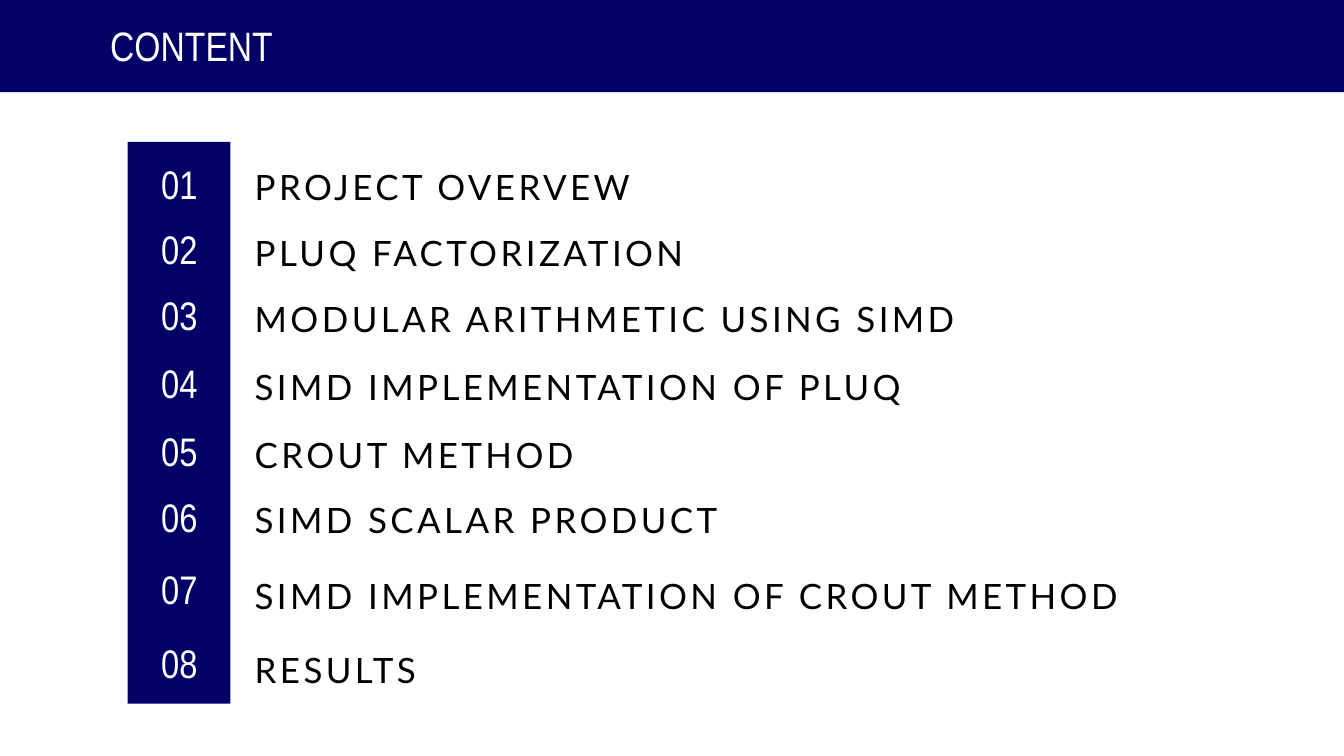
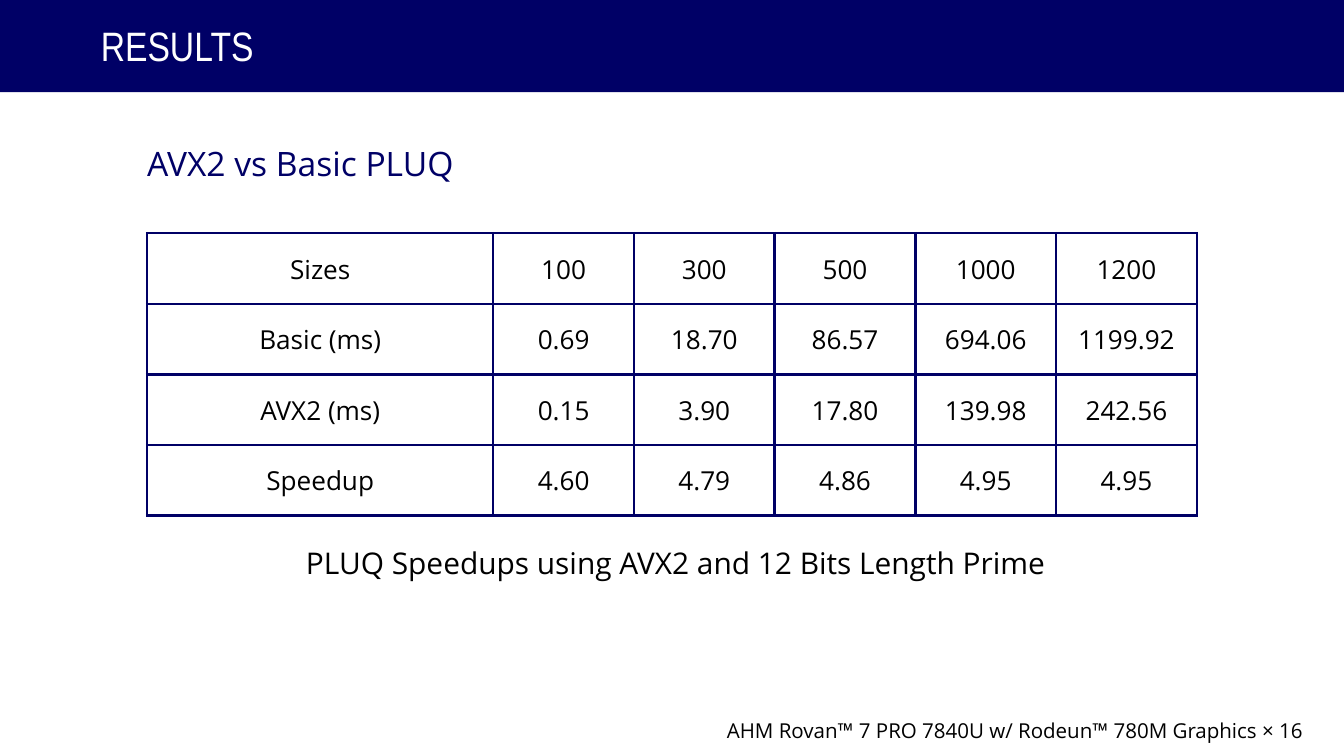
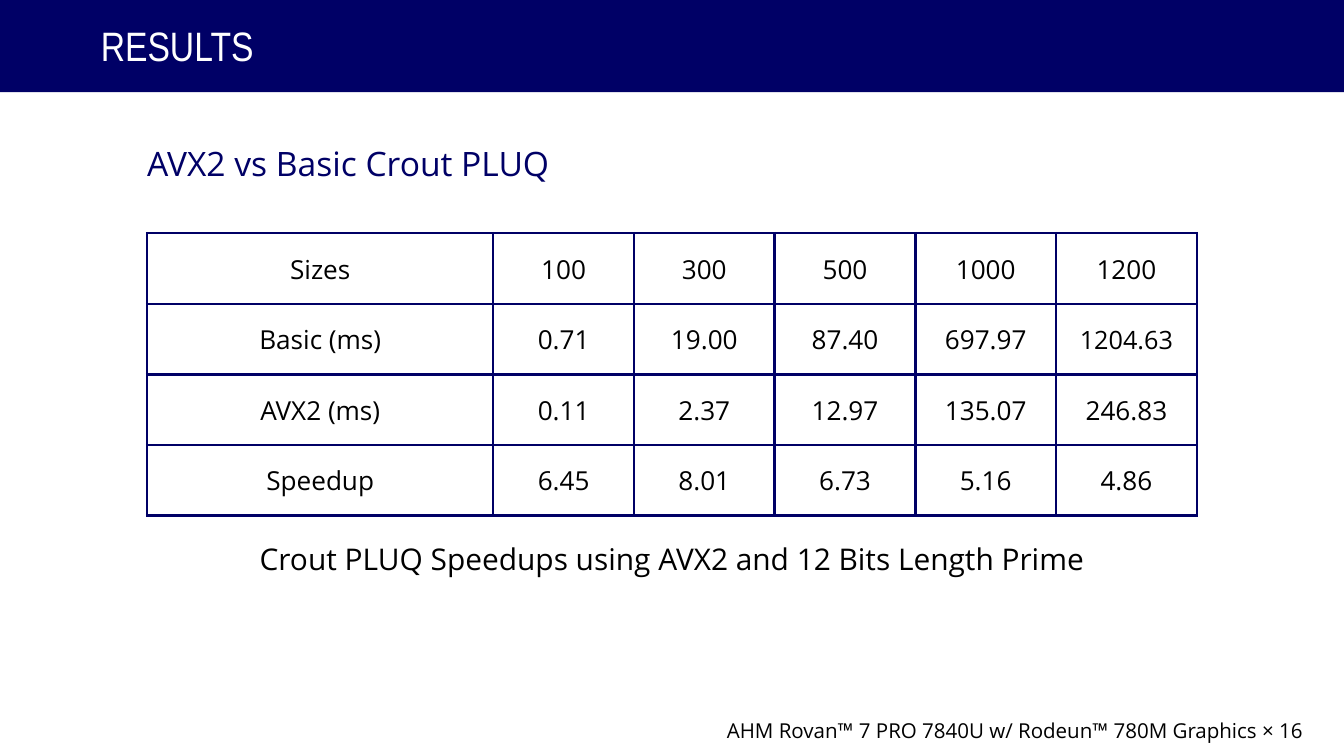
from dataclasses import dataclass

from pptx import Presentation
from pptx.dml.color import RGBColor
from pptx.enum.shapes import MSO_SHAPE
from pptx.enum.text import MSO_ANCHOR, MSO_AUTO_SIZE, PP_ALIGN
from pptx.oxml import parse_xml
from pptx.oxml.ns import nsdecls, qn
from pptx.util import Inches, Pt


@dataclass(frozen=True)
class TextStyle:
    font: str
    size: float
    line_height: float
    color: str
    align: PP_ALIGN = PP_ALIGN.LEFT


class Theme:
    NAVY = "000066"
    WHITE = "FFFFFF"
    BLACK = "000000"
    TITLE = TextStyle("Arial Narrow", 44, 47.5, WHITE)
    NUMBER = TextStyle("Arial Narrow", 42.7, 51.3, WHITE, PP_ALIGN.CENTER)
    TOPIC = TextStyle("Lato", 37.4, 51.6, BLACK)
    TOPIC_TRACKING = 3.65
    SUBTITLE = TextStyle("Open Sans", 36, 43.2, NAVY)
    CAPTION = TextStyle("Open Sans", 32, 41.6, BLACK, PP_ALIGN.CENTER)
    CELL = TextStyle("Open Sans", 28, 39.2, BLACK, PP_ALIGN.CENTER)
    WIDE_CELL = TextStyle("Open Sans", 27, 37.8, BLACK, PP_ALIGN.CENTER)
    FOOTER = TextStyle("Open Sans", 22, 28.6, BLACK, PP_ALIGN.CENTER)
    BORDER_WIDTH = 3


SLIDE_WIDTH, SLIDE_HEIGHT = 20, 11.25
TITLE_ONLY_LAYOUT = 5
PROCESSOR = "AHM Rovan™ 7 PRO 7840U w/ Rodeun™ 780M Graphics × 16"

# Topic, top of its number, top and width of its label
AGENDA = [
    ("PROJECT OVERVEW", 2.37, 2.37, 9.38),
    ("PLUQ FACTORIZATION", 3.34, 3.36, 9.38),
    ("MODULAR ARITHMETIC USING SIMD", 4.33, 4.34, 10.54),
    ("SIMD IMPLEMENTATION OF PLUQ", 5.34, 5.35, 10.54),
    ("CROUT METHOD", 6.35, 6.36, 10.54),
    ("SIMD SCALAR PRODUCT", 7.33, 7.33, 10.54),
    ("SIMD IMPLEMENTATION OF CROUT METHOD", 8.4, 8.46, 13.41),
    ("RESULTS", 9.5, 9.56, 9.38),
]

SIZES = ["Sizes", "100", "300", "500", "1000", "1200"]
PLUQ_TIMINGS = [
    SIZES,
    ["Basic (ms)", "0.69", "18.70", "86.57", "694.06", "1199.92"],
    ["AVX2 (ms)", "0.15", "3.90", "17.80", "139.98", "242.56"],
    ["Speedup", "4.60", "4.79", "4.86", "4.95", "4.95"],
]
CROUT_TIMINGS = [
    SIZES,
    ["Basic (ms)", "0.71", "19.00", "87.40", "697.97", "1204.63"],
    ["AVX2 (ms)", "0.11", "2.37", "12.97", "135.07", "246.83"],
    ["Speedup", "6.45", "8.01", "6.73", "5.16", "4.86"],
]


def write_text(text_frame, text, style):
    paragraph = text_frame.paragraphs[0]
    paragraph.alignment = style.align
    paragraph.line_spacing = Pt(style.line_height)
    run = paragraph.add_run()
    run.text = text
    run.font.name = style.font
    run.font.size = Pt(style.size)
    run.font.color.rgb = RGBColor.from_string(style.color)


def fill_text_box(shape, text, style):
    """Write text in a shape that has no margins and grows with its text."""
    text_frame = shape.text_frame
    text_frame.word_wrap = True
    text_frame.auto_size = MSO_AUTO_SIZE.SHAPE_TO_FIT_TEXT
    text_frame.vertical_anchor = MSO_ANCHOR.TOP
    text_frame.margin_left = text_frame.margin_right = 0
    text_frame.margin_top = text_frame.margin_bottom = 0
    write_text(text_frame, text, style)


def add_text(slide, text, style, left, top, width, height):
    box = slide.shapes.add_textbox(
        Inches(left), Inches(top), Inches(width), Inches(height))
    fill_text_box(box, text, style)
    return box


def add_navy_block(slide, left, top, width, height):
    block = slide.shapes.add_shape(
        MSO_SHAPE.RECTANGLE,
        Inches(left), Inches(top), Inches(width), Inches(height))
    block.shadow.inherit = False
    block.fill.solid()
    block.fill.fore_color.rgb = RGBColor.from_string(Theme.NAVY)
    block.line.fill.background()
    return block


def add_titled_slide(presentation, title_text, title_left, title_width):
    """Add a slide whose title stands on a navy band."""
    slide = presentation.slides.add_slide(
        presentation.slide_layouts[TITLE_ONLY_LAYOUT])
    band = add_navy_block(slide, 0, 0, SLIDE_WIDTH, 1.37)
    title = slide.shapes.title
    title.element.addprevious(band.element)
    title.left, title.top = Inches(title_left), Inches(0.38)
    title.width, title.height = Inches(title_width), Inches(0.68)
    fill_text_box(title, title_text, Theme.TITLE)
    return slide


def add_agenda_slide(presentation):
    slide = add_titled_slide(presentation, "CONTENT", 1.64, 4.07)
    add_navy_block(slide, 1.9, 2.11, 1.53, 8.36)
    for number, (topic, number_top, topic_top, width) in enumerate(AGENDA, start=1):
        add_text(slide, f"{number:02}", Theme.NUMBER, 2.16, number_top, 1.02, 0.72)
        label = add_text(slide, topic, Theme.TOPIC, 3.79, topic_top, width, 0.66)
        for properties in label.element.iter(qn("a:rPr")):
            properties.set("spc", str(round(Theme.TOPIC_TRACKING * 100)))


def draw_cell_borders(table_frame):
    for cell_element in table_frame.element.iter(qn("a:tc")):
        properties = cell_element.get_or_add_tcPr()
        for position, side in enumerate(("lnL", "lnR", "lnT", "lnB")):
            properties.insert(position, parse_xml(
                f'<a:{side} {nsdecls("a")} w="{Pt(Theme.BORDER_WIDTH)}">'
                f'<a:solidFill><a:srgbClr val="{Theme.NAVY}"/></a:solidFill>'
                f'</a:{side}>'))


def add_timing_table(slide, rows):
    width, label_width, row_height = 15.62, 5.15, 1.05
    value_width = (width - label_width) / (len(rows[0]) - 1)
    frame = slide.shapes.add_table(
        len(rows), len(rows[0]), Inches(2.19), Inches(3.47),
        Inches(width), Inches(len(rows) * row_height))
    table = frame.table
    table.first_row = table.horz_banding = False
    for index, column in enumerate(table.columns):
        column.width = Inches(value_width if index else label_width)
    for row_index, values in enumerate(rows):
        for column_index, value in enumerate(values):
            cell = table.cell(row_index, column_index)
            cell.fill.background()
            cell.vertical_anchor = MSO_ANCHOR.MIDDLE
            cell.margin_left = cell.margin_right = Inches(0.21)
            cell.margin_top = cell.margin_bottom = Inches(0.21)
            style = Theme.WIDE_CELL if value == "1204.63" else Theme.CELL
            write_text(cell.text_frame, value, style)
    draw_cell_borders(frame)


def add_results_slide(presentation, subtitle, subtitle_width, timings,
                      caption, caption_left, caption_top, caption_width):
    slide = add_titled_slide(presentation, "RESULTS", 1.5, 14.58)
    add_timing_table(slide, timings)
    add_text(slide, caption, Theme.CAPTION,
             caption_left, caption_top, caption_width, 0.56)
    add_text(slide, PROCESSOR, Theme.FOOTER, 9.74, 10.65, 10.72, 0.39)
    add_text(slide, subtitle, Theme.SUBTITLE, 2.19, 2.12, subtitle_width, 0.59)


def main():
    presentation = Presentation()
    presentation.slide_width = Inches(SLIDE_WIDTH)
    presentation.slide_height = Inches(SLIDE_HEIGHT)

    add_agenda_slide(presentation)
    add_results_slide(
        presentation, "AVX2 vs Basic PLUQ", 6.1, PLUQ_TIMINGS,
        "PLUQ Speedups using AVX2 and 12 Bits Length Prime", 4.09, 8.06, 11.94)
    add_results_slide(
        presentation, "AVX2 vs Basic Crout PLUQ", 8.1, CROUT_TIMINGS,
        "Crout PLUQ Speedups using AVX2 and 12 Bits Length Prime", 2.58, 8, 14.85)

    presentation.save("out.pptx")


if __name__ == "__main__":
    main()
